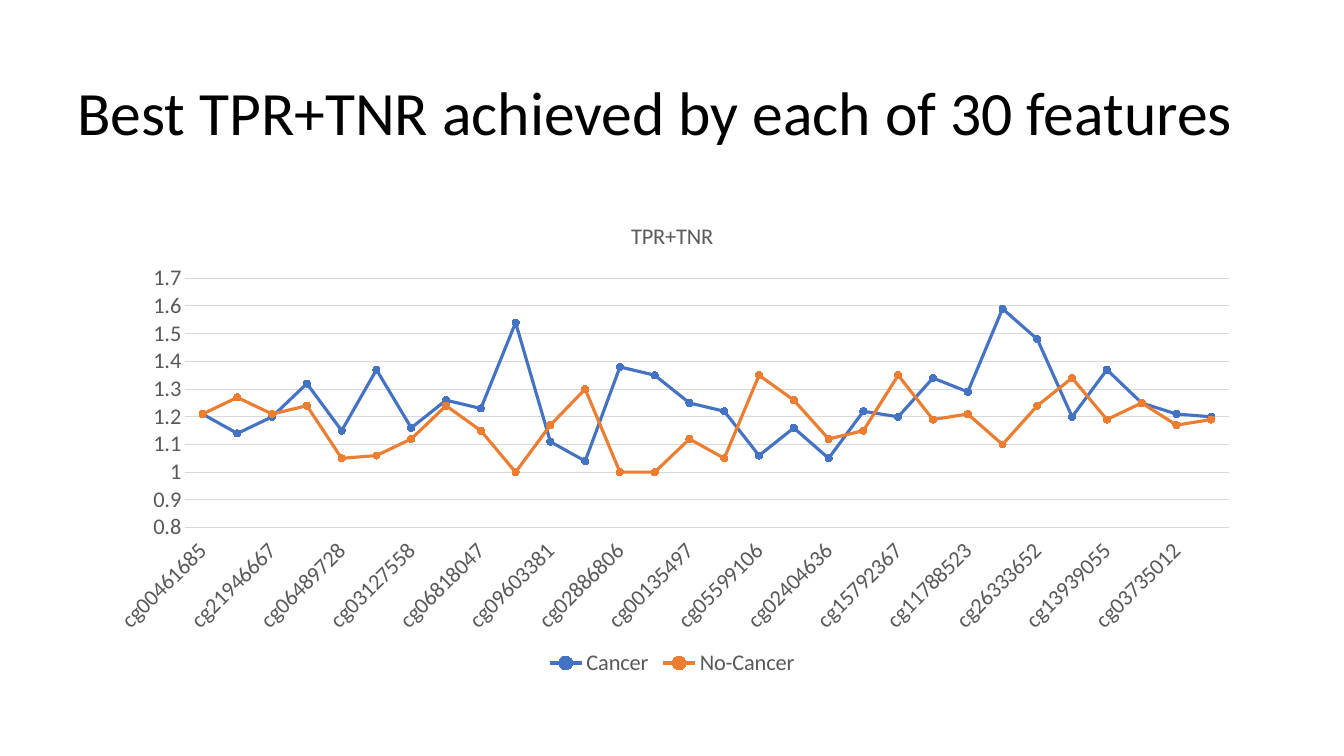
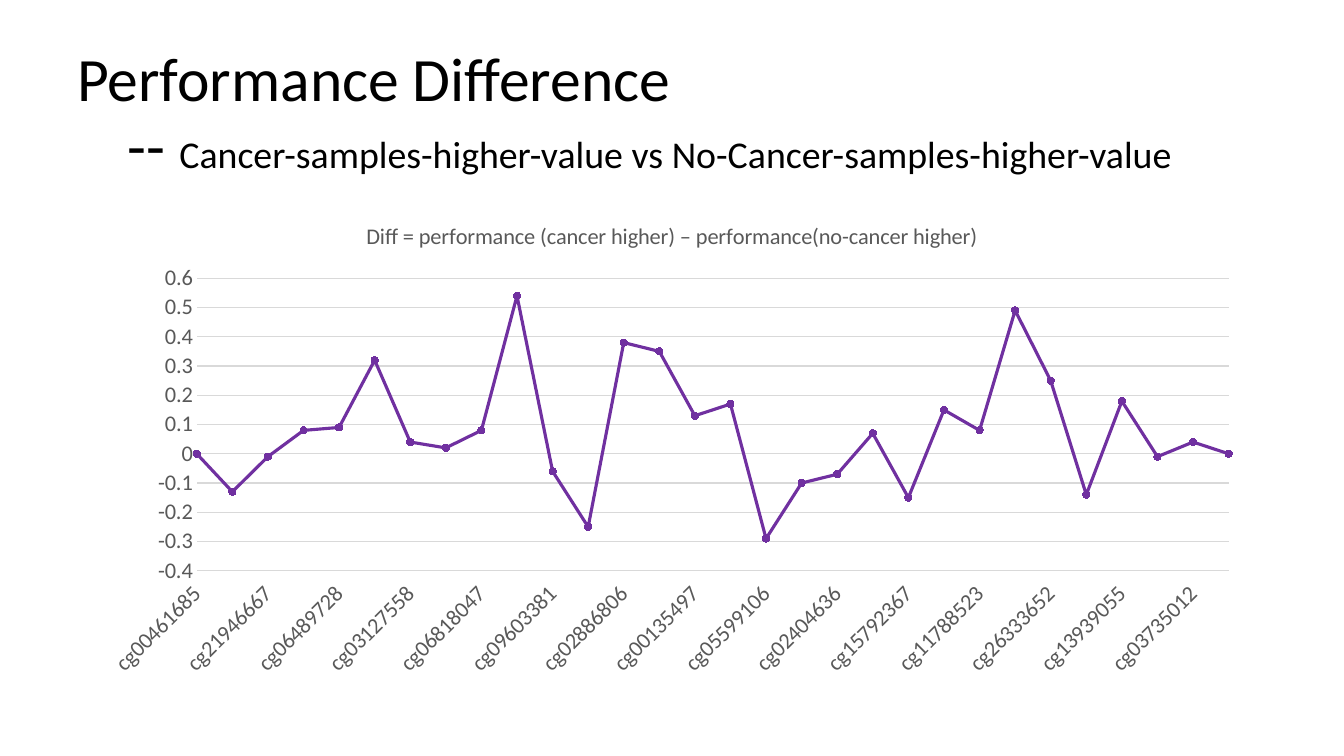
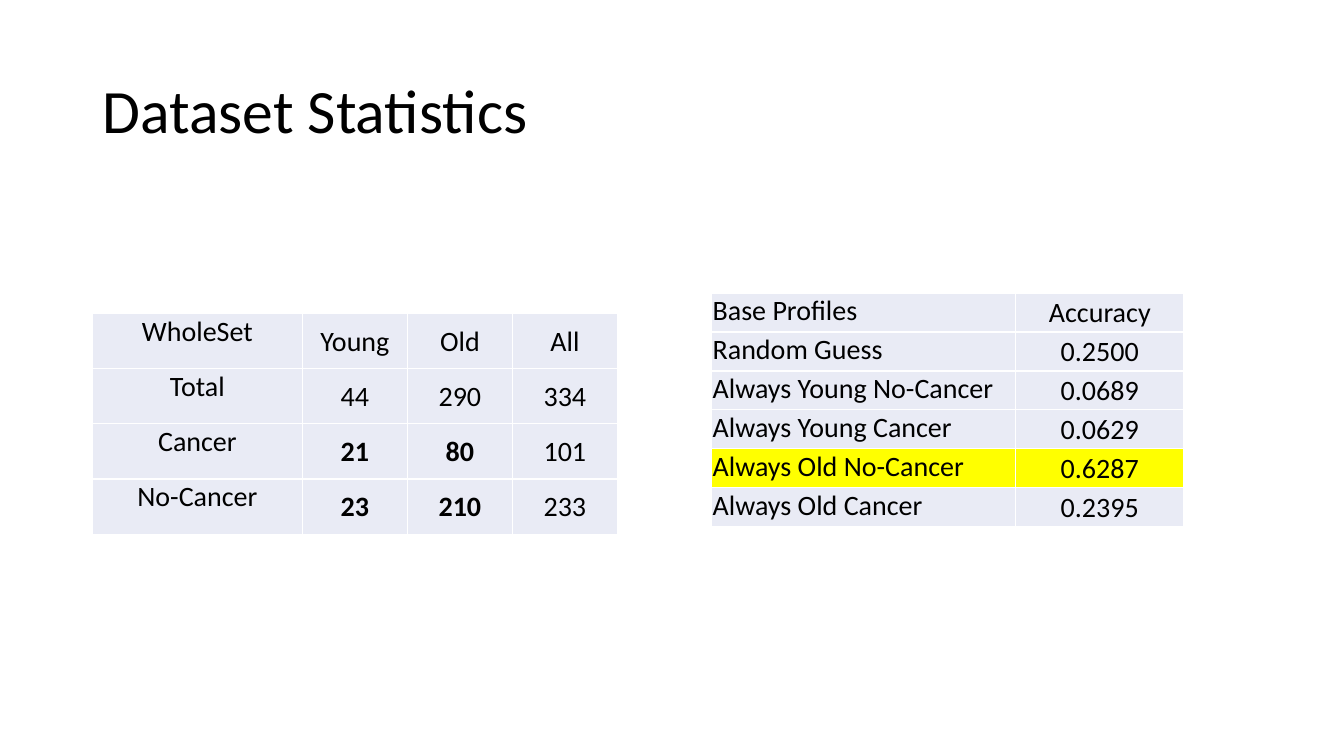
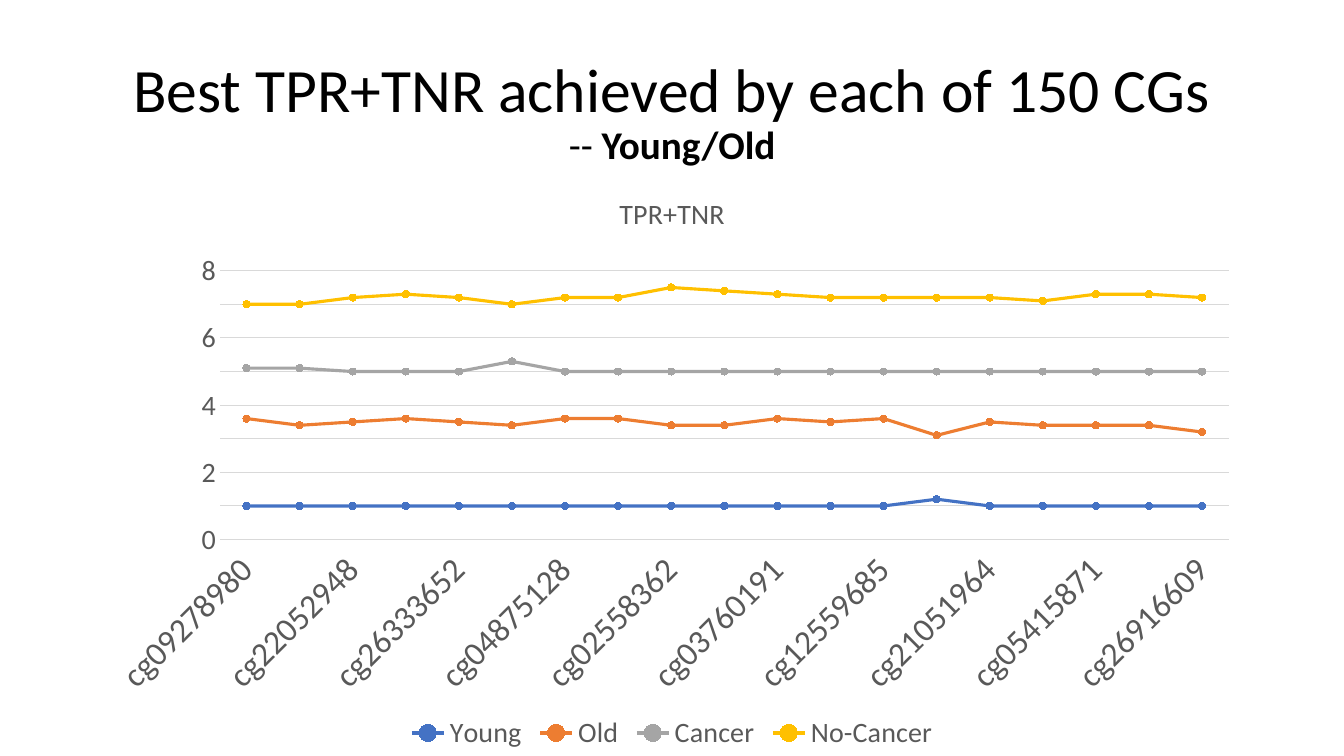
"""Build four slides on feature performance: three line charts and a pair of tables."""
from lxml.etree import SubElement
from pptx import Presentation
from pptx.chart.data import CategoryChartData
from pptx.dml.color import RGBColor
from pptx.enum.chart import (XL_CHART_TYPE, XL_LEGEND_POSITION, XL_MARKER_STYLE,
                             XL_TICK_LABEL_POSITION, XL_TICK_MARK)
from pptx.enum.text import MSO_ANCHOR, MSO_AUTO_SIZE, PP_ALIGN
from pptx.oxml import parse_xml
from pptx.oxml.ns import nsdecls, qn
from pptx.util import Inches, Pt

FONT = "Calibri"
BLACK = RGBColor(0x00, 0x00, 0x00)
WHITE = RGBColor(0xFF, 0xFF, 0xFF)
GRAY = RGBColor(0x59, 0x59, 0x59)
GRID_GRAY = RGBColor(0xD9, 0xD9, 0xD9)
BLUE = RGBColor(0x44, 0x72, 0xC4)
ORANGE = RGBColor(0xED, 0x7D, 0x31)
SILVER = RGBColor(0xA5, 0xA5, 0xA5)
GOLD = RGBColor(0xFF, 0xC0, 0x00)
PURPLE = RGBColor(0x70, 0x30, 0xA0)
CELL_FILL = RGBColor(0xE9, 0xEB, 0xF5)
YELLOW = RGBColor(0xFF, 0xFF, 0x00)

presentation = Presentation()
presentation.slide_width = Inches(13.33)
presentation.slide_height = Inches(7.5)
UNIT = presentation.slide_height / 90


def write(paragraph, text, size=44, bold=False, color=BLACK, align=PP_ALIGN.LEFT):
    paragraph.alignment = align
    run = paragraph.add_run()
    run.text = text
    run.font.name = FONT
    run.font.size = Pt(size)
    run.font.bold = bold
    run.font.color.rgb = color


def grid(*lengths):
    return [round(length * UNIT) for length in lengths]


WIDE_TITLE = (8, 5, 144, 17.4)
INNER_TITLE = (11, 4.8, 138, 17.4)
titles = [
    (WIDE_TITLE, PP_ALIGN.LEFT,
     [[("Best TPR+TNR achieved by each of 30 features", 44, False)]]),
    (WIDE_TITLE, PP_ALIGN.LEFT,
     [[("Performance Difference", 44, False)],
      [("\t-- ", 44, False),
       ("Cancer-samples-higher-value vs No-Cancer-samples-higher-value", 27, False)]]),
    (INNER_TITLE, PP_ALIGN.LEFT, [[("Dataset Statistics", 44, False)]]),
    (INNER_TITLE, PP_ALIGN.CENTER,
     [[("Best TPR+TNR achieved by each of 150 CGs", 44, False)],
      [("-- ", 28, False), ("Young/Old", 28, True)]]),
]
slides = []
for box, align, lines in titles:
    slide = presentation.slides.add_slide(presentation.slide_layouts[5])
    slides.append(slide)
    title = slide.shapes.title
    title.left, title.top, title.width, title.height = grid(*box)
    frame = title.text_frame
    frame.word_wrap = True
    frame.auto_size = MSO_AUTO_SIZE.NONE
    frame.vertical_anchor = MSO_ANCHOR.MIDDLE
    paragraph = frame.paragraphs[0]
    paragraph.line_spacing = 0.9
    for index, runs in enumerate(lines):
        if index:
            paragraph.add_line_break()
        for text, size, bold in runs:
            write(paragraph, text, size=size, bold=bold, align=align)
best_slide, difference_slide, dataset_slide, age_slide = slides

FEATURES = """cg00461685 cg20003638 cg21946667 cg04071270 cg06489728 cg05415871
cg03127558 cg05028639 cg06818047 cg07804728 cg09603381 cg13493426 cg02886806
cg04836492 cg00135497 cg12559685 cg05599106 cg18192222 cg02404636 cg18074954
cg15792367 cg22736354 cg11788523 cg22407458 cg26333652 cg13202751 cg13939055
cg14383422 cg03735012 cg01596963""".split()
AGE_FEATURES = """cg09278980 cg03087607 cg22052948 cg07676859 cg26333652 cg22407458
cg04875128 cg18020955 cg02558362 cg21946667 cg03760191 cg07871971 cg12559685
cg17590135 cg21051964 cg13590117 cg05415871 cg22641350 cg26916609""".split()

charts = [
    dict(slide=best_slide, box=(11, 24, 138, 57.1), title="TPR+TNR", categories=FEATURES,
         sizes=(16, 16), scale=(0.8, 1.7, 0.1), plot=(0.08, 0.16, 0.9, 0.52),
         crossing="between", legend=True, series=[
             ("Cancer", BLUE,
              [1.21, 1.14, 1.2, 1.32, 1.15, 1.37, 1.16, 1.26, 1.23, 1.54,
               1.11, 1.04, 1.38, 1.35, 1.25, 1.22, 1.06, 1.16, 1.05, 1.22,
               1.2, 1.34, 1.29, 1.59, 1.48, 1.2, 1.37, 1.25, 1.21, 1.2]),
             ("No-Cancer", ORANGE,
              [1.21, 1.27, 1.21, 1.24, 1.05, 1.06, 1.12, 1.24, 1.15, 1,
               1.17, 1.3, 1, 1, 1.12, 1.05, 1.35, 1.26, 1.12, 1.15,
               1.35, 1.19, 1.21, 1.1, 1.24, 1.34, 1.19, 1.25, 1.17, 1.19])]),
    dict(slide=difference_slide, box=(11, 24, 138, 57.1),
         title="Diff = performance (cancer higher) – performance(no-cancer higher)",
         categories=FEATURES, sizes=(16, 16), scale=(-0.4, 0.6, 0.1),
         plot=(0.09, 0.16, 0.89, 0.61), crossing="midCat", legend=False, series=[
             ("Series 1", PURPLE,
              [0, -0.13, -0.01, 0.08, 0.09, 0.32, 0.04, 0.02, 0.08, 0.54,
               -0.06, -0.25, 0.38, 0.35, 0.13, 0.17, -0.29, -0.1, -0.07, 0.07,
               -0.15, 0.15, 0.08, 0.49, 0.25, -0.14, 0.18, -0.01, 0.04, 0])]),
    dict(slide=age_slide, box=(11, 20.4, 138, 69.6), title="TPR+TNR", categories=AGE_FEATURES,
         sizes=(24, 20), scale=(0, 8, 1), plot=(0.11, 0.17, 0.87, 0.46),
         crossing="between", legend=True, series=[
             ("Young", BLUE, [1] * 13 + [1.2] + [1] * 5),
             ("Old", ORANGE,
              [3.6, 3.4, 3.5, 3.6, 3.5, 3.4, 3.6, 3.6, 3.4, 3.4,
               3.6, 3.5, 3.6, 3.1, 3.5, 3.4, 3.4, 3.4, 3.2]),
             ("Cancer", SILVER, [5.1, 5.1, 5, 5, 5, 5.3] + [5] * 13),
             ("No-Cancer", GOLD,
              [7, 7, 7.2, 7.3, 7.2, 7, 7.2, 7.2, 7.5, 7.4,
               7.3, 7.2, 7.2, 7.2, 7.2, 7.1, 7.3, 7.3, 7.2])]),
]
for item in charts:
    data = CategoryChartData()
    data.categories = item["categories"]
    for name, color, values in item["series"]:
        data.add_series(name, values)
    chart = item["slide"].shapes.add_chart(
        XL_CHART_TYPE.LINE_MARKERS, *grid(*item["box"]), data).chart
    category_size, value_size = item["sizes"]
    chart.font.name = FONT
    chart.font.size = Pt(value_size)
    chart.font.color.rgb = GRAY
    chart.has_title = True
    write(chart.chart_title.text_frame.paragraphs[0], item["title"],
          size=value_size, color=GRAY, align=PP_ALIGN.CENTER)
    chart.chart_title.include_in_layout = False
    chart.has_legend = item["legend"]
    if chart.has_legend:
        chart.legend.position = XL_LEGEND_POSITION.BOTTOM
        chart.legend.include_in_layout = False

    plot_area = chart.element.xpath("c:chart/c:plotArea")[0]
    for old in plot_area.xpath("c:layout | c:valAx/c:crossBetween"):
        old.getparent().remove(old)
    layout = parse_xml(f"<c:layout {nsdecls('c')}/>")
    plot_area.insert(0, layout)
    manual = SubElement(layout, qn("c:manualLayout"))
    settings = [("layoutTarget", "inner"), ("xMode", "edge"), ("yMode", "edge")]
    for tag, value in settings + list(zip("xywh", item["plot"])):
        SubElement(manual, qn(f"c:{tag}")).set("val", str(value))
    plot_area.xpath("c:valAx/c:crosses")[0].addnext(
        parse_xml(f"<c:crossBetween {nsdecls('c')} val='{item['crossing']}'/>"))

    for axis, size in zip((chart.category_axis, chart.value_axis), item["sizes"]):
        axis.major_tick_mark = XL_TICK_MARK.NONE
        axis.minor_tick_mark = XL_TICK_MARK.NONE
        axis.tick_labels.font.name = FONT
        axis.tick_labels.font.size = Pt(size)
        axis.tick_labels.font.color.rgb = GRAY
    category_axis, value_axis = chart.category_axis, chart.value_axis
    category_axis.tick_label_position = XL_TICK_LABEL_POSITION.LOW
    category_axis.format.line.color.rgb = GRID_GRAY
    category_axis.format.line.width = Pt(0.75)
    plot_area.xpath("c:catAx/c:txPr/a:bodyPr")[0].set("rot", "-2700000")
    value_axis.minimum_scale, value_axis.maximum_scale, value_axis.major_unit = item["scale"]
    value_axis.format.line.fill.background()
    value_axis.has_major_gridlines = True
    value_axis.major_gridlines.format.line.color.rgb = GRID_GRAY
    value_axis.major_gridlines.format.line.width = Pt(0.75)

    chart.plots[0].vary_by_categories = False
    for series, (name, color, values) in zip(chart.plots[0].series, item["series"]):
        series.smooth = False
        series.format.line.color.rgb = color
        series.format.line.width = Pt(2.25)
        series.marker.style = XL_MARKER_STYLE.CIRCLE
        series.marker.size = 5
        series.marker.format.fill.solid()
        series.marker.format.fill.fore_color.rgb = color
        series.marker.format.line.color.rgb = color

tables = [
    dict(at=(11, 37.3), columns=[25, 12.5, 12.5, 12.5], row=6.58,
         label_align=PP_ALIGN.CENTER, bold={"21", "80", "23", "210"}, highlight=None,
         rows=[["WholeSet", "Young", "Old", "All"],
               ["Total", "44", "290", "334"],
               ["Cancer", "21", "80", "101"],
               ["No-Cancer", "23", "210", "233"]]),
    dict(at=(84.7, 34.9), columns=[36.2, 20], row=4.63,
         label_align=PP_ALIGN.LEFT, bold=set(), highlight="Always Old No-Cancer",
         rows=[["Base Profiles", "Accuracy"],
               ["Random Guess", "0.2500"],
               ["Always Young No-Cancer", "0.0689"],
               ["Always Young Cancer", "0.0629"],
               ["Always Old No-Cancer", "0.6287"],
               ["Always Old Cancer", "0.2395"]]),
]
for item in tables:
    rows, columns = item["rows"], item["columns"]
    size = (sum(columns), len(rows) * item["row"])
    table = dataset_slide.shapes.add_table(
        len(rows), len(columns), *grid(*item["at"], *size)).table
    table.first_row = False
    table.horz_banding = False
    for column, width in zip(table.columns, grid(*columns)):
        column.width = width
    for row_index, texts in enumerate(rows):
        table.rows[row_index].height = grid(item["row"])[0]
        fill_color = YELLOW if texts[0] == item["highlight"] else CELL_FILL
        for column_index, text in enumerate(texts):
            cell = table.cell(row_index, column_index)
            cell.margin_left = cell.margin_right = cell.margin_top = Inches(0.01)
            cell.margin_bottom = 0
            cell.vertical_anchor = MSO_ANCHOR.MIDDLE if column_index else MSO_ANCHOR.TOP
            properties = cell._tc.get_or_add_tcPr()
            for side in "LRTB":
                border = SubElement(properties, qn(f"a:ln{side}"), w=str(Pt(1)))
                solid = SubElement(border, qn("a:solidFill"))
                SubElement(solid, qn("a:srgbClr"), val=str(WHITE))
            cell.fill.solid()
            cell.fill.fore_color.rgb = fill_color
            write(cell.text_frame.paragraphs[0], text, size=20, bold=text in item["bold"],
                  align=PP_ALIGN.CENTER if column_index else item["label_align"])

presentation.save("out.pptx")
